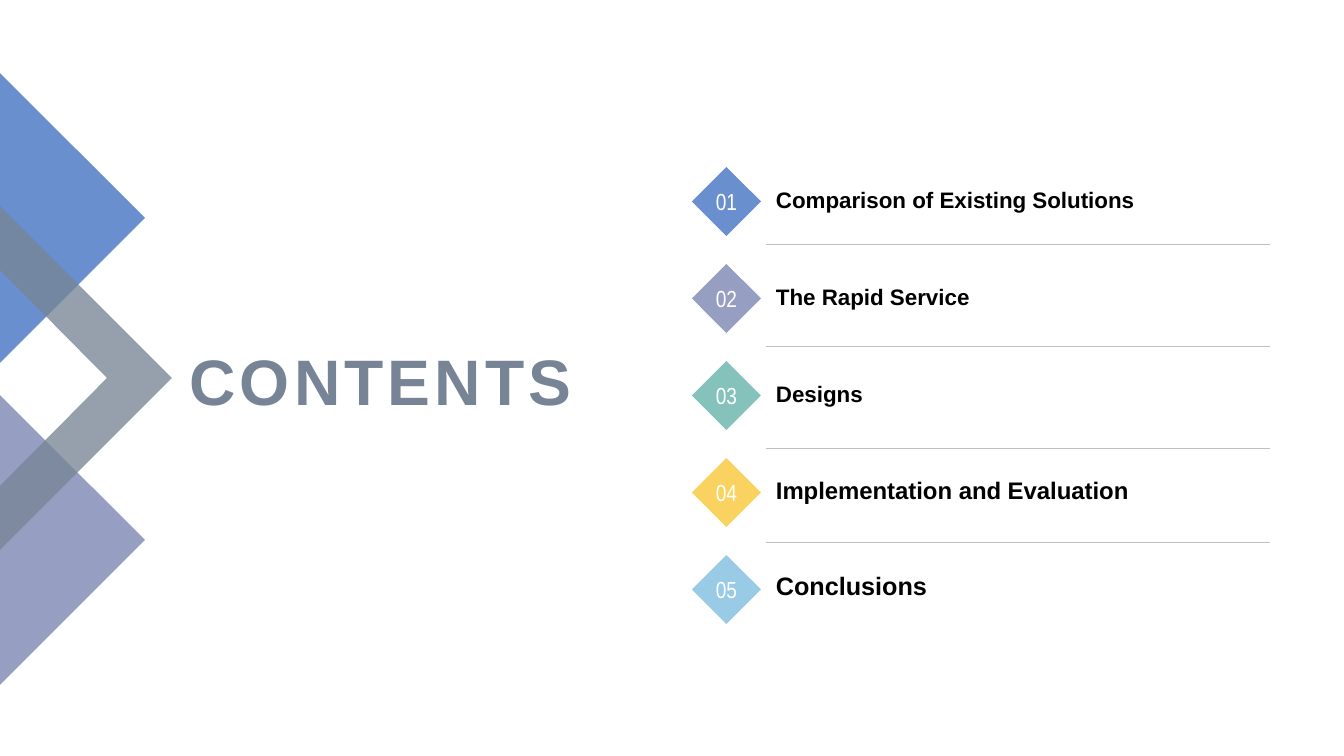
from lxml.etree import SubElement
from pptx import Presentation
from pptx.dml.color import RGBColor
from pptx.enum.shapes import MSO_CONNECTOR, MSO_SHAPE
from pptx.enum.text import MSO_ANCHOR, MSO_AUTO_SIZE, PP_ALIGN
from pptx.oxml.ns import qn
from pptx.util import Pt

TITLE = "CONTENTS"
SLATE = "778495"
ITEMS = [
    ("Comparison of Existing Solutions", 16, "698FCE"),
    ("The Rapid Service", 16, "969EC2"),
    ("Designs", 16, "85C2BC"),
    ("Implementation and Evaluation", 17.1, "FAD25F"),
    ("Conclusions", 18, "99CAE6"),
]
RULES = [244, 346, 448, 542]
BANDS = [
    ([(0, 395), (145, 540), (0, 685)], "969EC2", 100),
    ([(0, 73), (145, 218), (0, 363)], "698FCE", 100),
    ([(172, 378), (0, 550), (0, 486), (107, 378), (0, 270), (0, 206)], SLATE, 77),
]
TOP, STEP, DIAMOND = 167, 97, 69
DIAMOND_X, TEXT_X, RULE_END = 692, 766, 1270


def px(n):
    return round(n * 914400 / 100.8)


def rgb(color):
    return RGBColor.from_string(color)


def paint(sp, color, alpha=100):
    sp.shadow.inherit = False
    sp.fill.solid()
    sp.fill.fore_color.rgb = rgb(color)
    sp.line.fill.background()
    if alpha < 100:
        clr = sp.fill._xPr.find(qn("a:solidFill"))[0]
        SubElement(clr, qn("a:alpha"), val=str(alpha * 1000))


def write(sp, text, size, font, color, bold, align, anchor, wrap=True):
    tf = sp.text_frame
    tf.text = text
    tf.word_wrap = wrap
    tf.auto_size = MSO_AUTO_SIZE.NONE
    tf.vertical_anchor = anchor
    p = tf.paragraphs[0]
    p.alignment = align
    p.font.size = Pt(size)
    p.font.name = font
    p.font.bold = bold
    p.font.color.rgb = rgb(color)
    return p


def main():
    prs = Presentation()
    prs.slide_width, prs.slide_height = px(1344), px(756)
    s = prs.slides.add_slide(prs.slide_layouts[5])

    for points, color, alpha in BANDS:
        builder = s.shapes.build_freeform(*points[0], scale=px(1))
        builder.add_line_segments(points[1:], close=True)
        paint(builder.convert_to_shape(), color, alpha)

    title = s.shapes.title
    title.left, title.top, title.width, title.height = map(px, (170, 329, 412, 102))
    p = write(title, TITLE, 45.9, "Arial", SLATE, True, PP_ALIGN.RIGHT, MSO_ANCHOR.MIDDLE)
    p.runs[0].font._element.set("spc", "300")

    for i, (text, size, color) in enumerate(ITEMS):
        y = TOP + i * STEP
        sp = s.shapes.add_shape(MSO_SHAPE.DIAMOND, px(DIAMOND_X), px(y), px(DIAMOND), px(DIAMOND))
        paint(sp, color)
        write(sp, f"{i + 1:02}", 16.6, "Arial Narrow", "FFFFFF", False,
              PP_ALIGN.CENTER, MSO_ANCHOR.MIDDLE, wrap=False)
        label = s.shapes.add_textbox(px(TEXT_X), px(y + 18), px(436), px(33))
        write(label, text, size, "Arial", "000000", True, PP_ALIGN.LEFT, MSO_ANCHOR.BOTTOM)

    for y in RULES:
        rule = s.shapes.add_connector(MSO_CONNECTOR.STRAIGHT, px(TEXT_X), px(y), px(RULE_END), px(y))
        rule.line.color.rgb = rgb("BFBFBF")
        rule.line.width = Pt(0.25)
        SubElement(rule._element.spPr, qn("a:effectLst"))

    prs.save("out.pptx")


if __name__ == "__main__":
    main()
